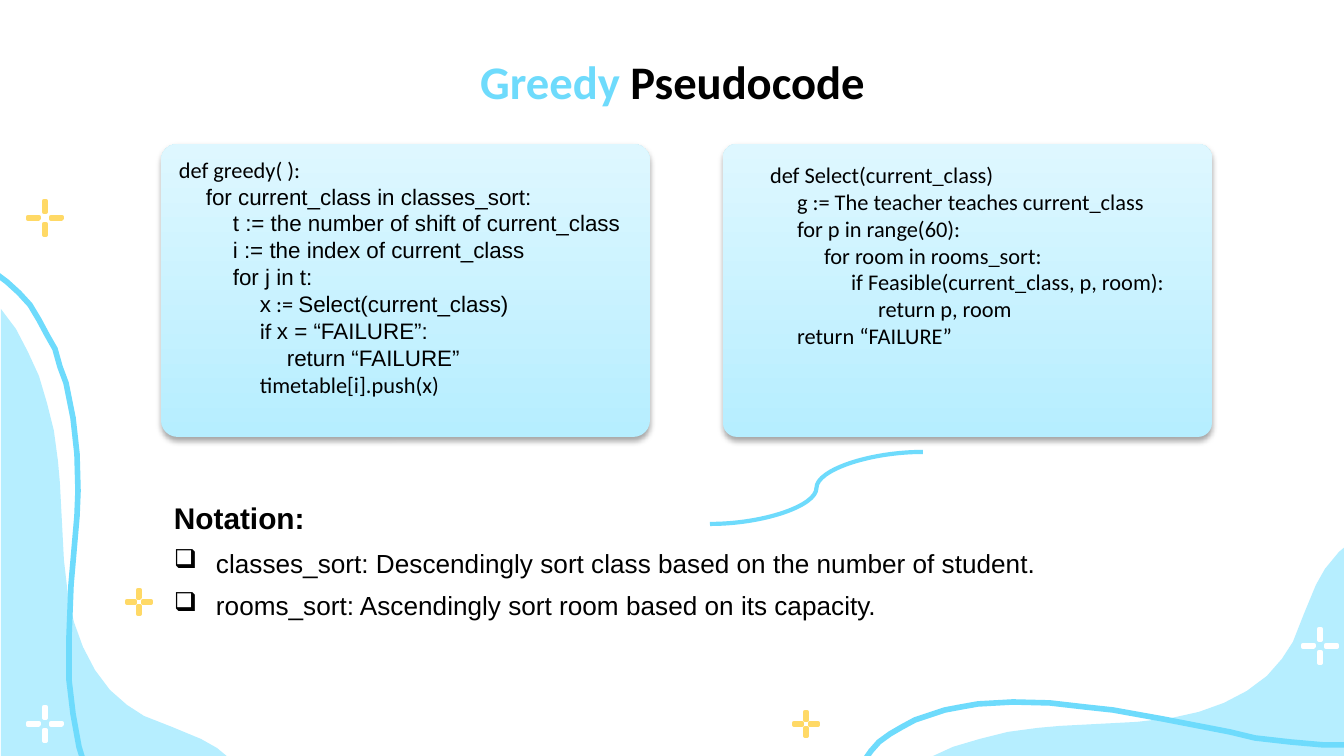
import lxml.etree
import pptx
import pptx.dml.color
import pptx.enum.shapes
import pptx.enum.text
import pptx.oxml.ns
import pptx.util

SCALE = 914400 / 134.4
SKY, PALE, MIST = "6EDBFC", "B6EEFF", "DEF7FF"
BLACK, WHITE, GOLD = "000000", "FFFFFF", "FFD966"
C, A = "Calibri", "Arial"
qn = pptx.oxml.ns.qn


def px(count):
    return pptx.util.Emu(round(count * SCALE))


def colour(code):
    return pptx.dml.color.RGBColor.from_string(code)


deck = pptx.Presentation()
deck.slide_width, deck.slide_height = px(1344), px(756)
page = deck.slides.add_slide(deck.slide_layouts[6])
shapes = page.shapes

right_wave = [
    (886, 785), (906, 770), (929, 758), (953, 747), (980, 739), (1008, 732),
    (1038, 728), (1060, 726), (1137, 722), (1172, 718), (1199, 712), (1224, 703),
    (1247, 691), (1267, 676), (1282, 659), (1293, 642), (1304, 614), (1316, 585),
    (1325, 569), (1339, 552), (1351, 542), (1351, 785),
]
left_wave = [(786 - y, x - 577) for x, y in right_wave]
right_ribbon = [
    (864, 761), (871, 751), (879, 742), (890, 734), (902, 727), (915, 720),
    (930, 715), (945, 710), (961, 707), (978, 704), (1013, 702), (1050, 703),
    (1085, 707), (1113, 710), (1163, 719), (1230, 732), (1255, 738), (1290, 742),
    (1324, 745), (1347, 745),
]
left_ribbon = [
    (-5, 273), (7, 282), (19, 293), (30, 305), (39, 320), (47, 335), (55, 349),
    (60, 367), (66, 383), (73, 418), (77, 454), (78, 491), (77, 516), (71, 585),
    (69, 637), (69, 680), (73, 714), (79, 747), (83, 760),
]

for points, filled in [
    (right_wave, True), (right_ribbon, False), (left_wave, True), (left_ribbon, False),
]:
    builder = shapes.build_freeform(*points[0], scale=SCALE)
    builder.add_line_segments(points[1:], close=filled)
    curve = builder.convert_to_shape()
    curve.shadow.inherit = False
    if filled:
        curve.fill.solid()
        curve.fill.fore_color.rgb = colour(PALE)
        curve.line.fill.background()
    else:
        curve.fill.background()
        curve.line.color.rgb = colour(SKY)
        curve.line.width = pptx.util.Pt(3)

swoosh = shapes.add_connector(
    pptx.enum.shapes.MSO_CONNECTOR.CURVE, px(710), px(524), px(923), px(452)
)
swoosh.line.color.rgb = colour(SKY)
swoosh.line.width = pptx.util.Pt(2.25)
lxml.etree.SubElement(swoosh.element.spPr, qn("a:effectLst"))

for x, y, near, far, tint in [
    (45, 724, 6, 17, WHITE), (45, 218, 6, 17, GOLD), (1320, 646, 6, 17, WHITE),
    (139, 602, 4, 12, GOLD), (806, 724, 4, 12, GOLD),
]:
    arm = far - near
    for left, top, width, height in [
        (-1, -far, 2, arm), (-1, near, 2, arm), (near, -1, arm, 2), (-far, -1, arm, 2),
    ]:
        ray = shapes.add_shape(
            pptx.enum.shapes.MSO_SHAPE.RECTANGLE,
            px(x + left), px(y + top), px(width), px(height),
        )
        ray.shadow.inherit = False
        ray.fill.solid()
        ray.fill.fore_color.rgb = colour(WHITE)
        ray.line.color.rgb = colour(tint)
        ray.line.width = pptx.util.Pt(2.25)
        lxml.etree.SubElement(ray.line._get_or_add_ln(), qn("a:round"))

title = shapes.add_textbox(px(106), px(40), px(1133), px(85))
notation = shapes.add_textbox(px(161), px(493), px(1039), px(168))
cards = []
for left, corner in [(161, 0.057), (723, 0.048)]:
    card = shapes.add_shape(
        pptx.enum.shapes.MSO_SHAPE.ROUNDED_RECTANGLE, px(left), px(144), px(489), px(293)
    )
    card.adjustments[0] = corner
    card.fill.gradient()
    card.fill.gradient_angle = 90
    for stop, tint in zip(card.fill.gradient_stops, [PALE, MIST]):
        stop.color.rgb = colour(tint)
    card.line.fill.background()
    card.shadow.inherit = False
    effects = card.element.spPr.find(qn("a:effectLst"))
    shade = lxml.etree.SubElement(
        effects, qn("a:outerShdw"), blurRad="39400", dist="22900", dir="5400000", rotWithShape="0"
    )
    ink = lxml.etree.SubElement(shade, qn("a:srgbClr"), val=BLACK)
    lxml.etree.SubElement(ink, qn("a:alpha"), val="35000")
    cards.append(card)

greedy_code = [
    (0, [("def greedy( ):", C)]),
    (1, [("for current_class in classes_sort:", A)]),
    (2, [("t := the number of shift of current_class", A)]),
    (2, [("i := the index of current_class", A)]),
    (2, [("for j in t:", A)]),
    (3, [("x", A), (" := ", C), ("Select(current_class)", A)]),
    (3, [("if ", C), ("x = “FAILURE”:", A)]),
    (4, [("return “FAILURE”", A)]),
    (3, [("timetable[i].push(x)", C)]),
]
select_code = [
    (0, [("def Select(current_class)", C)]),
    (1, [("g := The teacher teaches current_class", C)]),
    (1, [("for p in range(60):", C)]),
    (2, [("for room in rooms_sort:", C)]),
    (3, [("if Feasible(current_class, p, room):", C)]),
    (4, [("return p, room", C)]),
    (1, [("return “FAILURE”", C)]),
]
notes = [
    (0, [("Notation:", A)]),
    (0, [("classes_sort: Descendingly sort class based on the number of student.", A)]),
    (0, [("rooms_sort: Ascendingly sort room based on its capacity.", A)]),
]
heading = [(0, [("Greedy ", C), ("Pseudocode", C)])]

for box, lines, left, top, size, bold in [
    (title, heading, 13, 13, 25, True),
    (cards[0], greedy_code, 13, 7, 12, False),
    (cards[1], select_code, 43, 13, 12, False),
    (notation, notes, 13, 7, 14, False),
]:
    frame = box.text_frame
    layout = {
        "word_wrap": True,
        "vertical_anchor": pptx.enum.text.MSO_ANCHOR.TOP,
        "margin_left": px(left), "margin_top": px(top),
        "margin_right": px(13), "margin_bottom": px(7),
    }
    for name, value in layout.items():
        setattr(frame, name, value)
    for number, (level, runs) in enumerate(lines):
        para = frame.add_paragraph() if number else frame.paragraphs[0]
        para.alignment = pptx.enum.text.PP_ALIGN.LEFT
        if level:
            para._p.get_or_add_pPr().set("marL", str(px(27 * level)))
        for text, face in runs:
            span = para.add_run()
            span.text = text
            for name, value in {"name": face, "size": pptx.util.Pt(size), "bold": bold}.items():
                setattr(span.font, name, value)
            span.font.color.rgb = colour(BLACK)

title_line = title.text_frame.paragraphs[0]
title_line.alignment = pptx.enum.text.PP_ALIGN.CENTER
title_line.runs[0].font.color.rgb = colour(SKY)

label, *items = notation.text_frame.paragraphs
label.runs[0].font.size = pptx.util.Pt(16)
label.runs[0].font.bold = True
for item in items:
    item.space_before = pptx.util.Pt(6)
    settings = item._p.get_or_add_pPr()
    settings.set("marL", str(px(42)))
    settings.set("indent", str(px(-42)))
    lxml.etree.SubElement(settings, qn("a:buChar"), char="❑")

deck.save("out.pptx")
